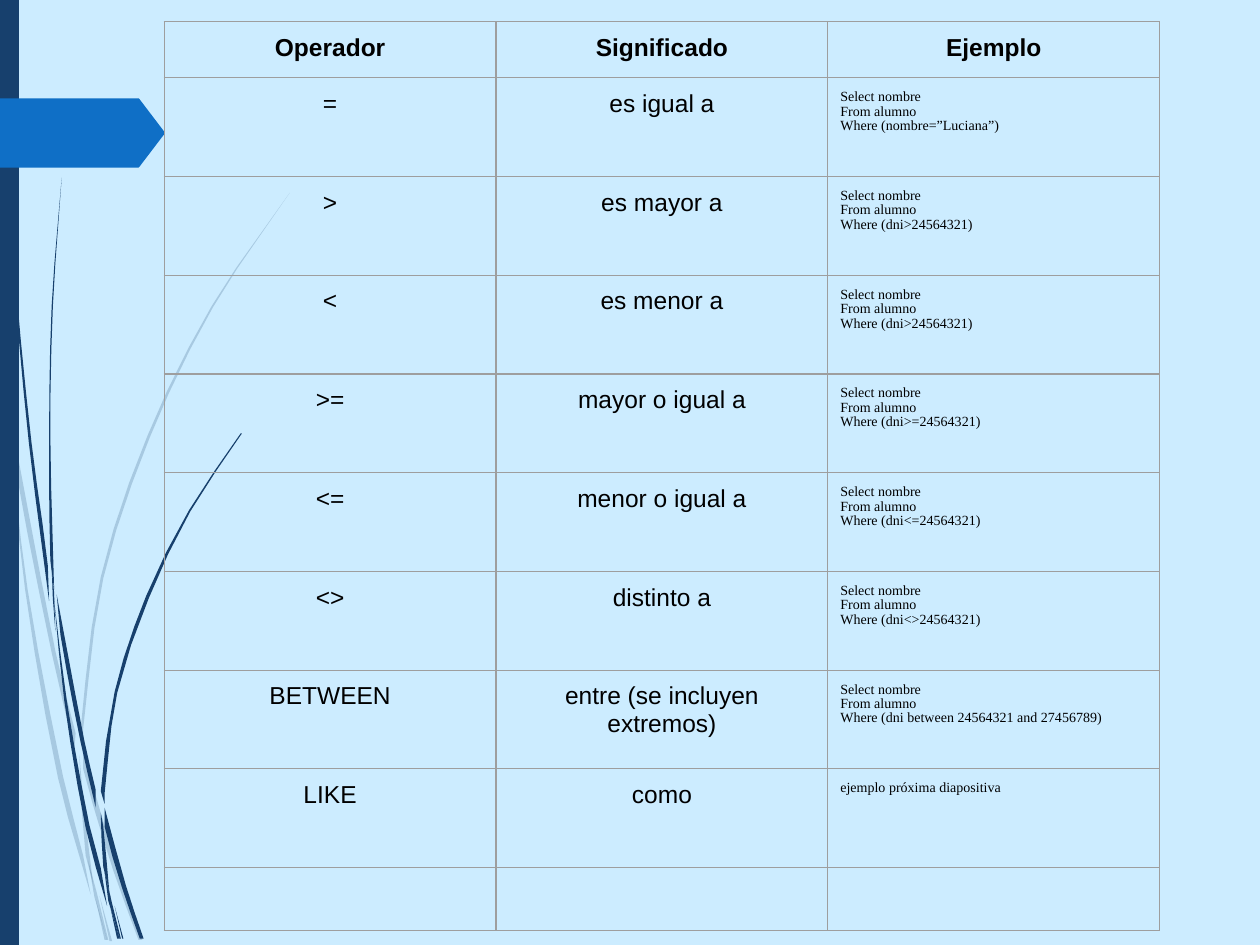
from copy import deepcopy
from math import dist

from lxml import etree
from pptx import Presentation
from pptx.dml.color import RGBColor
from pptx.enum.shapes import MSO_SHAPE
from pptx.enum.text import PP_ALIGN
from pptx.oxml.ns import qn
from pptx.util import Cm, Pt

RECT = MSO_SHAPE.RECTANGLE
CENTER, LEFT = PP_ALIGN.CENTER, PP_ALIGN.LEFT
UNIT = 2.54  # one drawing unit of the outlines, in cm

# Each blade of grass is two smooth edges that meet at its tips
PALE_BLADES = [
    ([(.05, 3.45), (.04, 3.19), (0, 2.82)], [(0, 2.98), (.05, 3.45)]),
    ([(.11, 3.45), (.13, 3.75), (.41, 5.18), (.59, 5.95)],
     [(.6, 5.82), (.44, 5.17), (.11, 3.45)]),
    ([(.66, 5.96), (.66, 6.1), (.9, 6.91), (1.1, 7.46)],
     [(1.13, 7.46), (.93, 6.89), (.66, 5.96)]),
    ([(.87, 7.47), (.89, 7.47)], [(.79, 7.11), (.87, 7.47)]),
    ([(.72, 7.1), (.66, 6.79), (.5, 6.16), (.22, 4.68), (.08, 3.5)],
     [(.08, 3.5), (.2, 4.68), (.46, 6.17), (.72, 7.1)]),
    ([(.63, 5.99), (.65, 6.44), (.68, 6.79), (.75, 7.06)],
     [(.74, 7.02), (.67, 6.44), (.63, 5.99)]),
    ([(.66, 5.91), (.66, 5.79), (.82, 4.59), (1.19, 3.47), (1.69, 2.44), (2.3, 1.53)],
     [(2.3, 1.53), (1.68, 2.43), (1.17, 3.46), (.8, 4.58), (.64, 5.79), (.66, 5.91)]),
    ([(.76, 7.14), (.83, 7.46)], [(.85, 7.46), (.76, 7.14)]),
    ([(.7, 6.83), (.75, 7.12), (.85, 7.46)], [(.86, 7.46), (.77, 7.09), (.7, 6.83)]),
]
DARK_BLADES = [
    ([(.03, 0), (.05, 1.08), (.13, 2.3), (.25, 3.51), (.38, 4.49), (.39, 4.77)],
     [(.39, 4.77), (.23, 3.52), (.12, 2.31), (.05, 1.09), (.02, 0)]),
    ([(.45, 4.72), (.48, 5.04), (.64, 5.89), (.76, 6.41)],
     [(.76, 6.27), (.67, 5.88), (.45, 4.72)]),
    ([(.83, 6.41), (.83, 6.56), (.97, 7.05), (1.11, 7.45)],
     [(1.14, 7.45), (1, 7.03), (.83, 6.41)]),
    ([(.85, 7.19), (.8, 6.89), (.71, 6.55), (.53, 5.56), (.43, 4.77)],
     [(.43, 4.77), (.51, 5.56), (.68, 6.57), (.85, 7.19)]),
    ([(.43, 4.68), (.4, 3.46), (.42, 2.43), (.49, 1.41)],
     [(.49, 1.41), (.41, 2.43), (.39, 3.46), (.4, 4.45), (.43, 4.68)]),
    ([(.97, 7.45), (.98, 7.45)], [(.91, 7.19), (.97, 7.45)]),
    ([(.42, 4.75), (.44, 5.01)], [(.43, 4.7), (.41, 4.49), (.42, 4.75)]),
    ([(.83, 6.38), (.83, 6.3), (.93, 5.5), (1.18, 4.75), (1.51, 4.06), (1.92, 3.44)],
     [(1.91, 3.44), (1.5, 4.05), (1.16, 4.73), (.91, 5.49), (.8, 6.28), (.83, 6.38)]),
    ([(.88, 7.22), (.93, 7.45)], [(.95, 7.45), (.88, 7.22)]),
    ([(.8, 6.45), (.82, 6.88), (.88, 7.13)], [(.87, 7.1), (.82, 6.56), (.8, 6.45)]),
    ([(.83, 6.92), (.86, 7.15), (.95, 7.45)], [(.96, 7.45), (.89, 7.17), (.83, 6.92)]),
]
ARROW = [(0, .78), (1.1, .78), (1.11, .79), (1.3, 1.04), (1.3, 1.07), (1.11, 1.32),
         (1.1, 1.33), (0, 1.33)]

HEADER = ["Operador", "Significado", "Ejemplo"]
OPERATORS = [  # operator, meaning, condition of the example query
    ("=", "es igual a", "nombre=”Luciana”"),
    (">", "es mayor a", "dni>24564321"),
    ("<", "es menor a", "dni>24564321"),
    (">=", "mayor o igual a", "dni>=24564321"),
    ("<=", "menor o igual a", "dni<=24564321"),
    ("<>", "distinto a", "dni<>24564321"),
    ("BETWEEN", "entre (se incluyen extremos)", "dni between 24564321 and 27456789"),
]


def color(hex_text):
    return RGBColor.from_string(hex_text)


def smooth(points):
    """Points along a smooth curve through the given ones; long stretches get more."""
    last = len(points) - 1
    lengths = [dist(a, b) for a, b in zip(points, points[1:])]

    def slope(i, axis):
        a, b = max(i - 1, 0), min(i + 1, last)
        return (points[b][axis] - points[a][axis]) / sum(lengths[a:b])

    curve = [points[0]]
    for i, length in enumerate(lengths):
        steps = min(3, 1 + int(length / 0.4))
        for t in (k / steps for k in range(1, steps + 1)):
            curve.append(tuple(
                points[i][x] * (1 - t) ** 2 * (1 + 2 * t)
                + points[i + 1][x] * t * t * (3 - 2 * t)
                + length * t * (1 - t) * (slope(i, x) * (1 - t) - slope(i + 1, x) * t)
                for x in (0, 1)))
    return curve


def write(tf, text, size=14, font="Arial", bold=False, align=CENTER, spacing=None, before=None):
    p = tf.paragraphs[0]
    p.text = text.replace("\n", "\v")
    p.alignment, p.line_spacing, p.space_before = align, spacing, before
    for r in p.runs:
        r.font.size, r.font.name, r.font.bold = Pt(size), font, bold
        r.font.color.rgb = color("000000")
    for br in p._p.findall(qn("a:br")):
        br.append(deepcopy(r._r.rPr))


class SlideBuilder:
    navy, blue, border = "17406D", "0F6FC6", "9E9E9E"

    def __init__(self, prs, background):
        self.s = prs.slides.add_slide(prs.slide_layouts[6])
        self.s.background.fill.solid()
        self.s.background.fill.fore_color.rgb = color(background)

    def paint(self, sp, fill, alpha=None):
        sp.shadow.inherit = False
        sp.line.fill.background()
        sp.fill.solid()
        sp.fill.fore_color.rgb = color(fill)
        if alpha:
            clr = sp._element.spPr.find(".//" + qn("a:srgbClr"))
            etree.SubElement(clr, qn("a:alpha"), val=str(alpha * 1000))

    def rect(self, x, y, w, h, fill):
        self.paint(self.s.shapes.add_shape(RECT, Cm(x), Cm(y), Cm(w), Cm(h)), fill)

    def outline(self, points, fill, alpha=None, shapes=None):
        first, *rest = [(Cm(x * UNIT), Cm(y * UNIT)) for x, y in points]
        shapes = shapes or self.s.shapes
        builder = shapes.build_freeform(*first)
        builder.add_line_segments(rest, close=True)
        self.paint(builder.convert_to_shape(), fill, alpha)

    def grass(self, blades, alpha=None):
        group = self.s.shapes.add_group_shape()
        for up, down in blades:
            self.outline(smooth(up) + smooth(down), self.navy, alpha, group.shapes)

    def frame_cell(self, cell):
        tcPr = cell._tc.get_or_add_tcPr()
        for side in ("lnL", "lnR", "lnT", "lnB"):
            ln = etree.SubElement(tcPr, qn("a:" + side), w=str(Pt(0.75)))
            fill = etree.SubElement(ln, qn("a:solidFill"))
            etree.SubElement(fill, qn("a:srgbClr"), val=self.border)
        cell.fill.background()
        cell.margin_left = cell.margin_right = Cm(0.25)
        cell.margin_top = cell.margin_bottom = Cm(0.25)

    def table(self, x, y, col_width, heights):
        table = self.s.shapes.add_table(len(heights), 3, Cm(x), Cm(y), Cm(3 * col_width),
                                        Cm(sum(heights))).table
        table.first_row = table.horz_banding = False
        for col in table.columns:
            col.width = Cm(col_width)
        for row, height in zip(table.rows, heights):
            row.height = Cm(height)
        for cell in table.iter_cells():
            self.frame_cell(cell)
        return table


def main():
    prs = Presentation()
    prs.slide_width, prs.slide_height = Cm(25.4), Cm(19.05)
    slide = SlideBuilder(prs, "CCECFF")

    # Decoration on the left
    slide.grass(PALE_BLADES, alpha=20)
    slide.grass(DARK_BLADES)
    slide.rect(0, 0, 0.38, 19.05, slide.navy)
    slide.outline(ARROW, slide.blue)

    # Operator table, with an empty last row
    rows = [(sign, meaning, f"Select nombre\nFrom alumno\nWhere ({condition})")
            for sign, meaning, condition in OPERATORS]
    rows.append(("LIKE", "como", "ejemplo próxima diapositiva"))
    table = slide.table(3.31, 0.44, 6.69, [1.13] + [1.99] * len(rows) + [1.12])
    for col, title in enumerate(HEADER):
        write(table.cell(0, col).text_frame, title, bold=True)
    for i, (sign, meaning, example) in enumerate(rows, 1):
        write(table.cell(i, 0).text_frame, sign)
        write(table.cell(i, 1).text_frame, meaning)
        write(table.cell(i, 2).text_frame, example, size=8, font="Times New Roman",
              align=LEFT, spacing=0.93, before=Pt(14))

    prs.save("out.pptx")


if __name__ == "__main__":
    main()
